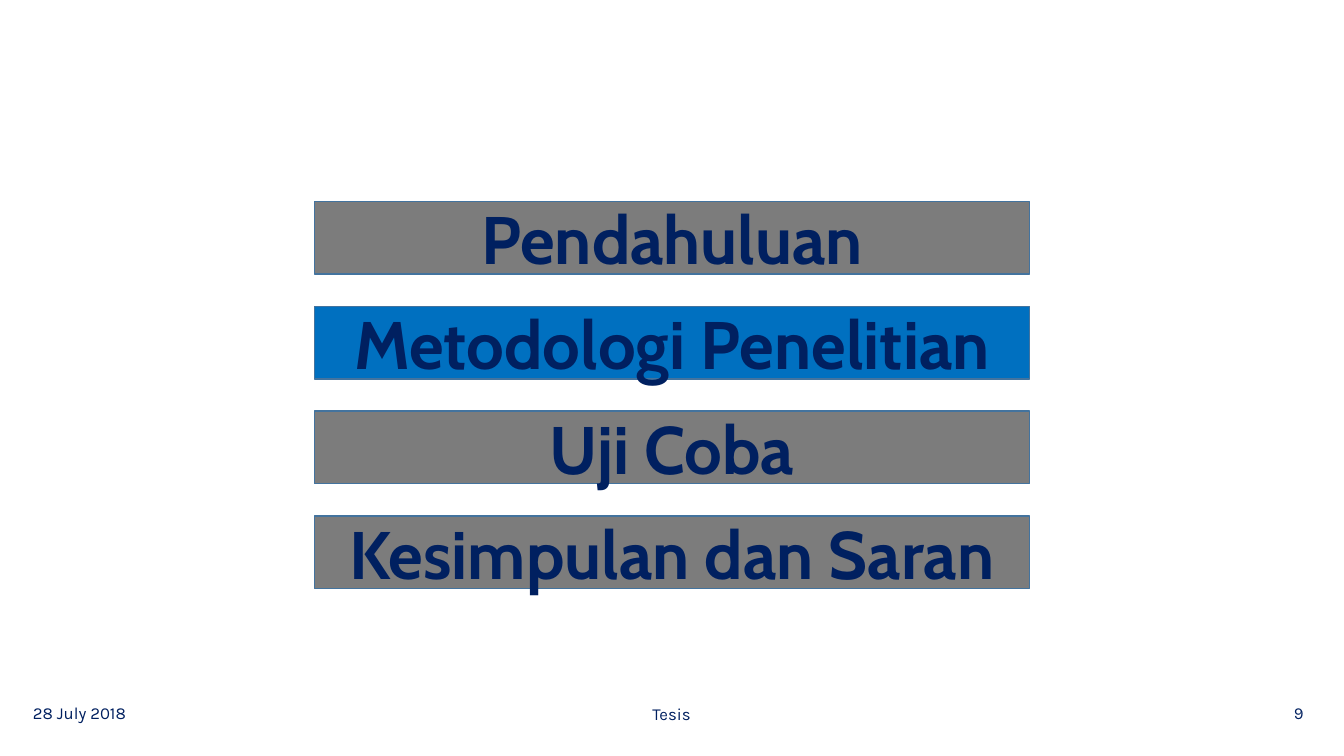
"""Build the agenda slide with four section bars and a footer."""
import dataclasses

import pptx
import pptx.dml.color
import pptx.enum.shapes
import pptx.enum.text
import pptx.slide
import pptx.text.text
import pptx.util

Cm = pptx.util.Cm
ALIGN = pptx.enum.text.PP_ALIGN
NAVY, GREY, BLUE, EDGE = "002060", "7C7C7C", "0070C0", "43739E"
LEFT, TOP, WIDTH, HEIGHT, STEP = 7.92, 5.08, 18.03, 1.83, 2.64
BAR_FONT = {"name": "Cabin", "size": pptx.util.Pt(48), "bold": True}
NOTE_FONT = {"name": "Karla", "size": pptx.util.Pt(12)}


@dataclasses.dataclass
class Bar:
    text: str
    fill: str = GREY


@dataclasses.dataclass
class Note:
    text: str
    left: float
    top: float
    width: float
    align: ALIGN


BARS = [
    Bar("Pendahuluan"),
    Bar("Metodologi Penelitian", BLUE),
    Bar("Uji Coba"),
    Bar("Kesimpulan dan Saran"),
]
NOTES = [
    Note("28 July 2018", 0.58, 17.32, 5.28, ALIGN.LEFT),
    Note("Tesis", 12.9, 17.35, 8.05, ALIGN.CENTER),
    Note("9", 31.75, 17.32, 1.35, ALIGN.RIGHT),
]


def color(code: str) -> pptx.dml.color.RGBColor:
    return pptx.dml.color.RGBColor.from_string(code)


def write(frame: pptx.text.text.TextFrame, text: str, align: ALIGN, style: dict) -> None:
    frame.word_wrap = True
    frame.vertical_anchor = pptx.enum.text.MSO_ANCHOR.MIDDLE
    line = frame.paragraphs[0]
    line.alignment = align
    run = line.add_run()
    run.text = text
    for key, value in style.items():
        setattr(run.font, key, value)
    run.font.color.rgb = color(NAVY)


def draw_bar(slide: pptx.slide.Slide, bar: Bar, top: float) -> None:
    shape = slide.shapes.add_shape(
        pptx.enum.shapes.MSO_SHAPE.RECTANGLE, Cm(LEFT), Cm(top), Cm(WIDTH), Cm(HEIGHT)
    )
    shape.shadow.inherit = False
    shape.fill.solid()
    shape.fill.fore_color.rgb = color(bar.fill)
    shape.line.color.rgb = color(EDGE)
    shape.line.width = pptx.util.Pt(1)
    write(shape.text_frame, bar.text, ALIGN.CENTER, BAR_FONT)


def draw_note(slide: pptx.slide.Slide, note: Note) -> None:
    box = slide.shapes.add_textbox(Cm(note.left), Cm(note.top), Cm(note.width), Cm(1.27))
    write(box.text_frame, note.text, note.align, NOTE_FONT)


def main() -> None:
    deck = pptx.Presentation()
    deck.slide_width, deck.slide_height = Cm(33.87), Cm(19.05)
    slide = deck.slides.add_slide(deck.slide_layouts[6])
    for note in NOTES:
        draw_note(slide, note)
    for row, bar in enumerate(BARS):
        draw_bar(slide, bar, TOP + row * STEP)
    deck.save("out.pptx")


if __name__ == "__main__":
    main()
